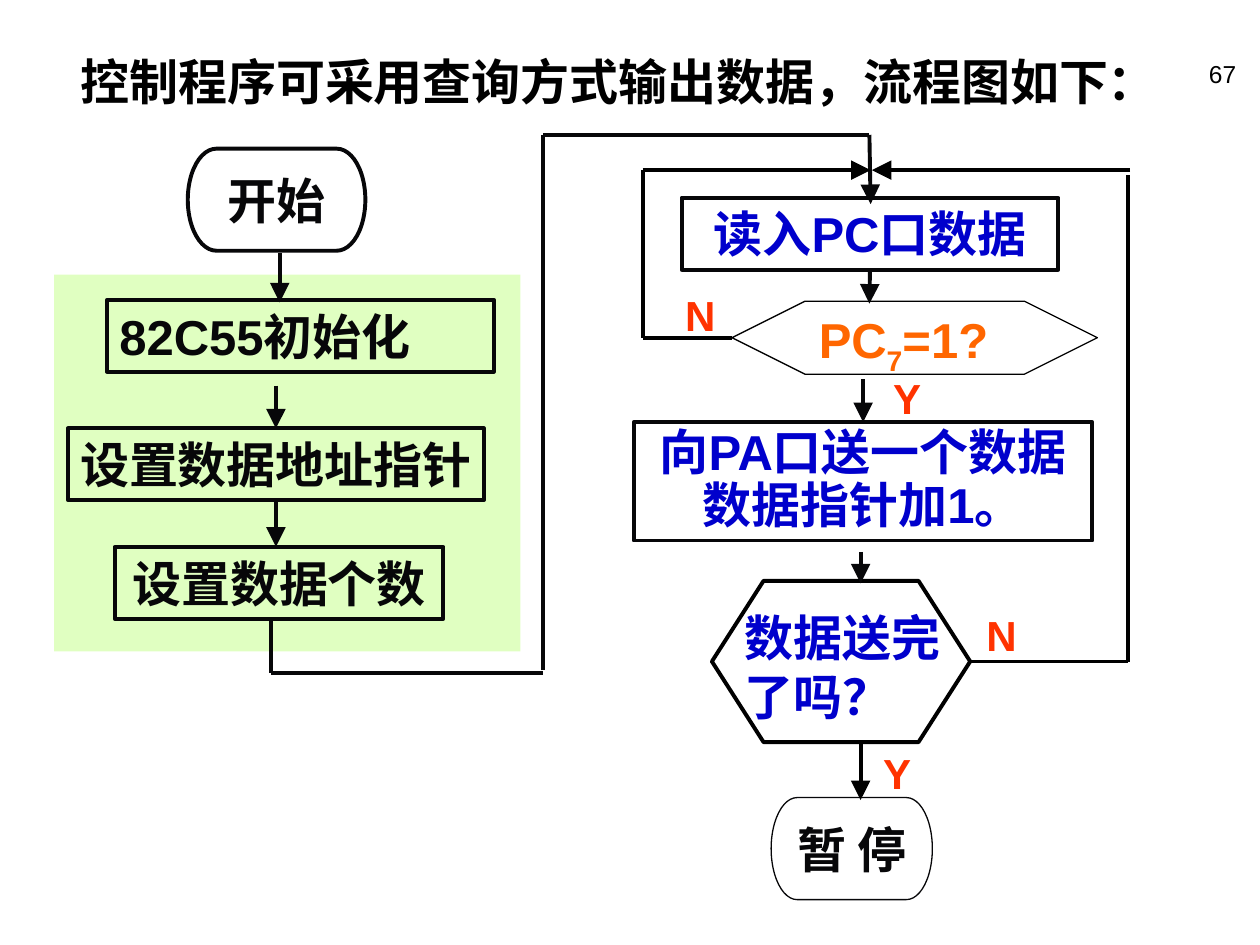
"""Flowchart slide: sending data through port PA with status polling."""
from lxml.etree import SubElement
from pptx import Presentation
from pptx.dml.color import RGBColor
from pptx.enum.shapes import MSO_CONNECTOR, MSO_SHAPE as SHAPE
from pptx.enum.text import MSO_ANCHOR as ANCHOR, PP_ALIGN as ALIGN
from pptx.oxml.ns import qn
from pptx.util import Pt

PX = 9144
COLORS = {
    "black": "000000", "ink": "070709", "white": "FFFFFF", "panel": "E0FFC1",
    "blue": "0000CC", "orange": "FF6600", "red": "FF3300",
}


def rgb(color):
    return RGBColor.from_string(COLORS[color])


def write(frame, lines, color, size=28, bold=True, align=ALIGN.LEFT,
          anchor=ANCHOR.TOP, wrap=True, spacing=None):
    frame.word_wrap = wrap
    frame.vertical_anchor = anchor
    for index, pieces in enumerate(lines):
        paragraph = frame.add_paragraph() if index else frame.paragraphs[0]
        paragraph.alignment = align
        paragraph.line_spacing = spacing
        for words, baseline in pieces:
            run = paragraph.add_run()
            run.text = words
            run.font.name = "Arial"
            run.font.size = Pt(size)
            run.font.bold = bold
            run.font.color.rgb = rgb(color)
            if baseline:
                run.font._element.set("baseline", str(baseline))


prs = Presentation()
prs.slide_width, prs.slide_height = 1000 * PX, 750 * PX
slide = prs.slides.add_slide(prs.slide_layouts[6])

RECT, END, HEX = SHAPE.RECTANGLE, SHAPE.FLOWCHART_TERMINATOR, SHAPE.FLOWCHART_PREPARATION
steps = [
    ("panel", RECT, (43, 218, 370, 299), "panel", None, 0),
    ("start", END, (149, 118, 141, 81), None, "ink", 2.25),
    ("init", RECT, (85, 238, 307, 57), None, "ink", 2.25),
    ("pointer", RECT, (54, 340, 330, 57), None, "ink", 2.25),
    ("count", RECT, (91, 434, 261, 57), None, "ink", 2.25),
    ("read", RECT, (541, 157, 299, 57), None, "ink", 2.25),
    ("ready", HEX, (581, 239, 290, 58), "white", "black", 0.75),
    ("send", RECT, (503, 335, 364, 94), None, "ink", 2.25),
    ("done", HEX, (565, 461, 205, 128), None, "black", 2.25),
    ("pause", END, (612, 633, 128, 81), "white", "ink", 0.75),
]
nodes = {}
for step, outline, box, fill, border, weight in steps:
    node = slide.shapes.add_shape(outline, *(v * PX for v in box))
    node.shadow.inherit = False
    if fill:
        node.fill.solid()
        node.fill.fore_color.rgb = rgb(fill)
    else:
        node.fill.background()
    if border:
        node.line.color.rgb = rgb(border)
        node.line.width = Pt(weight)
    else:
        node.line.fill.background()
    nodes[step] = node

centered = {"align": ALIGN.CENTER}
middle = {"align": ALIGN.CENTER, "anchor": ANCHOR.MIDDLE}
for step, lines, color, layout in [
    ("start", ["开始"], "ink", middle),
    ("init", ["82C55初始化"], "ink", {}),
    ("pointer", ["设置数据地址指针"], "ink", {**centered, "wrap": False}),
    ("count", ["设置数据个数"], "ink", centered),
    ("read", ["读入PC口数据"], "blue", centered),
    ("send", ["向PA口送一个数据", "数据指针加1。"], "blue",
     {**centered, "wrap": False, "spacing": 0.9}),
    ("pause", ["暂 停"], "ink", middle),
]:
    write(nodes[step].text_frame, [[(line, 0)] for line in lines], color, **layout)

flows = [
    ((222, 201, 222, 240), "ink", True, None, None),
    ((219, 306, 219, 340), "ink", True, None, ("pointer", 0)),
    ((219, 397, 219, 434), "ink", True, ("pointer", 2), None),
    ((215, 492, 215, 534), "ink", False, None, None),
    ((215, 534, 431, 534), "ink", False, None, None),
    ((431, 532, 431, 107), "ink", False, None, None),
    ((431, 107, 690, 107), "ink", False, None, None),
    ((690, 107, 691, 162), "ink", True, None, None),
    ((690, 214, 690, 241), "ink", True, ("read", 2), None),
    ((685, 301, 685, 335), "ink", True, None, ("send", 0)),
    ((683, 438, 683, 463), "ink", True, None, None),
    ((683, 588, 683, 635), "black", True, None, None),
    ((770, 525, 895, 525), "black", False, ("done", 3), None),
    ((895, 525, 895, 139), "black", False, None, None),
    ((897, 135, 692, 135), "black", True, None, None),
    ((581, 268, 510, 268), "black", False, ("ready", 1), None),
    ((510, 268, 510, 135), "black", False, None, None),
    ((510, 135, 691, 135), "black", True, None, None),
]
for ends, color, arrow, source, target in flows:
    flow = slide.shapes.add_connector(MSO_CONNECTOR.STRAIGHT, *(v * PX for v in ends))
    if source:
        flow.begin_connect(nodes[source[0]], source[1])
    if target:
        flow.end_connect(nodes[target[0]], target[1])
    flow.line.color.rgb = rgb(color)
    flow.line.width = Pt(2.25)
    if arrow:
        SubElement(flow.line._get_or_add_ln(), qn("a:tailEnd"),
                   type="triangle", w="lg", len="lg")
    SubElement(flow._element.spPr, qn("a:effectLst"))

branch = {"size": 24, "wrap": False}
for box, pieces, color, layout in [
    ((54, 36, 874, 57), [("控制程序可采用查询方式输出数据，流程图如下：", 0)], "black", {"wrap": False}),
    ((783, 42, 208, 50), [("67", 0)], "black",
     {"size": 14, "bold": False, "align": ALIGN.RIGHT}),
    ((640, 241, 180, 63), [("PC", 0), ("7", -25000), ("=1?", 0)], "orange", {}),
    ((581, 477, 197, 104), [("数据送完了吗？", 0)], "blue", {}),
    ((534, 225, 44, 50), [("N", 0)], "red", branch),
    ((699, 291, 42, 50), [("Y", 0)], "red", branch),
    ((773, 479, 44, 50), [("N", 0)], "red", branch),
    ((691, 588, 42, 50), [("Y", 0)], "red", branch),
]:
    label = slide.shapes.add_textbox(*(v * PX for v in box))
    write(label.text_frame, [pieces], color, **layout)

prs.save("out.pptx")
